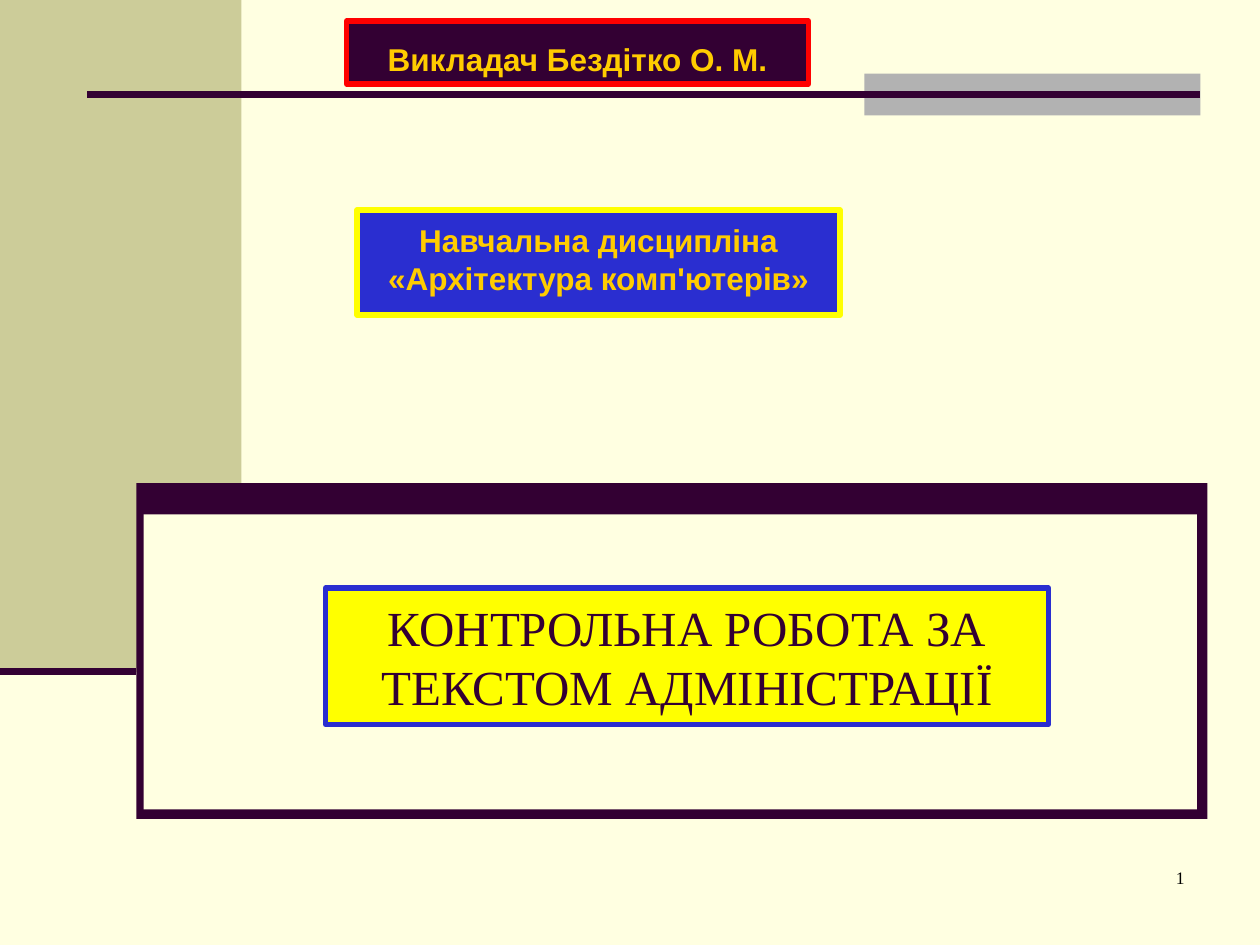
from dataclasses import dataclass

from lxml import etree
from pptx import Presentation
from pptx.dml.color import RGBColor
from pptx.enum.shapes import MSO_CONNECTOR, MSO_SHAPE
from pptx.enum.text import MSO_ANCHOR, MSO_AUTO_SIZE, PP_ALIGN
from pptx.oxml.ns import qn
from pptx.util import Pt

RECTANGLE = MSO_SHAPE.RECTANGLE
STRAIGHT = MSO_CONNECTOR.STRAIGHT
MIDDLE, BOTTOM, TOP = MSO_ANCHOR.MIDDLE, MSO_ANCHOR.BOTTOM, MSO_ANCHOR.TOP
CENTER, RIGHT = PP_ALIGN.CENTER, PP_ALIGN.RIGHT
NO_AUTOFIT = MSO_AUTO_SIZE.NONE
TITLE_ONLY = 5

CREAM = RGBColor(0xFF, 0xFF, 0xE1)
OLIVE = RGBColor(0xCC, 0xCC, 0x99)
PLUM = RGBColor(0x33, 0x00, 0x33)
GRAY = RGBColor(0xB2, 0xB2, 0xB2)
BLUE = RGBColor(0x2A, 0x2E, 0xD0)
YELLOW = RGBColor(0xFF, 0xFF, 0x00)
GOLD = RGBColor(0xFF, 0xCC, 0x00)
RED = RGBColor(0xFF, 0x00, 0x00)
BLACK = RGBColor(0x00, 0x00, 0x00)


@dataclass(frozen=True)
class Area:
    left: float
    top: float
    width: float
    height: float

    def lengths(self) -> tuple:
        return Pt(self.left), Pt(self.top), Pt(self.width), Pt(self.height)


@dataclass(frozen=True)
class Panel:
    area: Area
    fill: RGBColor


@dataclass(frozen=True)
class Rule:
    start: float
    end: float
    height: float
    weight: float


@dataclass(frozen=True)
class TextStyle:
    font: str
    size: float
    color: RGBColor
    bold: bool = False
    align: PP_ALIGN = CENTER
    anchor: MSO_ANCHOR = MIDDLE
    line_spacing: float = 1.0
    space_before: float = 0


@dataclass(frozen=True)
class Label:
    area: Area
    fill: RGBColor
    border: RGBColor
    lines: tuple
    style: TextStyle


SIDE_AND_FRAME = (
    Panel(Area(0, 0, 138, 384), OLIVE),
    Panel(Area(78, 276, 612, 192), PLUM),
    Panel(Area(82, 294, 602, 168.5), CREAM),
)
TAB = Panel(Area(494, 42, 192, 24), GRAY)
LOWER_RULE = Rule(0, 78, 384, 4)
UPPER_RULE = Rule(50, 686, 54, 3.5)

TITLE = Label(
    Area(186, 336, 413, 78), YELLOW, BLUE,
    ("КОНТРОЛЬНА РОБОТА ЗА ТЕКСТОМ АДМІНІСТРАЦІЇ",),
    TextStyle("Times New Roman", 28, PLUM),
)
COURSE = Label(
    Area(204, 120, 276, 60), BLUE, YELLOW,
    ("Навчальна дисципліна", "«Архітектура комп'ютерів»"),
    TextStyle("Arial", 18, GOLD, bold=True, line_spacing=0.8, space_before=4.5),
)
TEACHER = Label(
    Area(198, 12, 264, 36), PLUM, RED,
    ("Викладач Бездітко О. М.",),
    TextStyle("Arial", 18, GOLD, bold=True, anchor=BOTTOM,
              line_spacing=0.8, space_before=4.5),
)
NUMBER_AREA = Area(534, 492, 150, 36)
NUMBER_STYLE = TextStyle("Times New Roman", 10, BLACK, align=RIGHT, anchor=TOP)


def add_rectangle(slide, area: Area):
    box = slide.shapes.add_shape(RECTANGLE, *area.lengths())
    box.shadow.inherit = False
    return box


def draw_panel(slide, panel: Panel) -> None:
    box = add_rectangle(slide, panel.area)
    box.fill.solid()
    box.fill.fore_color.rgb = panel.fill
    box.line.fill.background()


def draw_rule(slide, rule: Rule) -> None:
    line = slide.shapes.add_connector(
        STRAIGHT, Pt(rule.start), Pt(rule.height), Pt(rule.end), Pt(rule.height))
    line.line.color.rgb = PLUM
    line.line.width = Pt(rule.weight)
    etree.SubElement(line.element.spPr, qn("a:effectLst"))


def write_lines(box, lines: tuple, style: TextStyle) -> None:
    frame = box.text_frame
    frame.word_wrap = True
    frame.auto_size = NO_AUTOFIT
    frame.vertical_anchor = style.anchor
    frame.margin_left = frame.margin_right = Pt(7.2)
    frame.margin_top = frame.margin_bottom = Pt(3.6)
    for index, line in enumerate(lines):
        para = frame.add_paragraph() if index else frame.paragraphs[0]
        para.alignment = style.align
        para.line_spacing = style.line_spacing
        para.space_before = Pt(style.space_before)
        span = para.add_run()
        span.text = line
        span.font.name = style.font
        span.font.size = Pt(style.size)
        span.font.bold = style.bold
        span.font.color.rgb = style.color


def format_label(box, label: Label) -> None:
    box.left, box.top, box.width, box.height = label.area.lengths()
    box.fill.solid()
    box.fill.fore_color.rgb = label.fill
    box.line.color.rgb = label.border
    box.line.width = Pt(3)
    write_lines(box, label.lines, label.style)


def place_title(slide) -> None:
    """Format the title and bring it in front of the decoration."""
    title = slide.shapes.title
    slide.shapes.element.append(title.element)
    format_label(title, TITLE)


def main() -> None:
    deck = Presentation()
    deck.slide_width, deck.slide_height = Pt(720), Pt(540)
    page = deck.slides.add_slide(deck.slide_layouts[TITLE_ONLY])
    page.background.fill.solid()
    page.background.fill.fore_color.rgb = CREAM

    for panel in SIDE_AND_FRAME:
        draw_panel(page, panel)
    draw_rule(page, LOWER_RULE)
    draw_panel(page, TAB)
    draw_rule(page, UPPER_RULE)

    place_title(page)
    for label in (COURSE, TEACHER):
        format_label(add_rectangle(page, label.area), label)
    number = page.shapes.add_textbox(*NUMBER_AREA.lengths())
    write_lines(number, ("1",), NUMBER_STYLE)

    deck.save("out.pptx")


if __name__ == "__main__":
    main()
